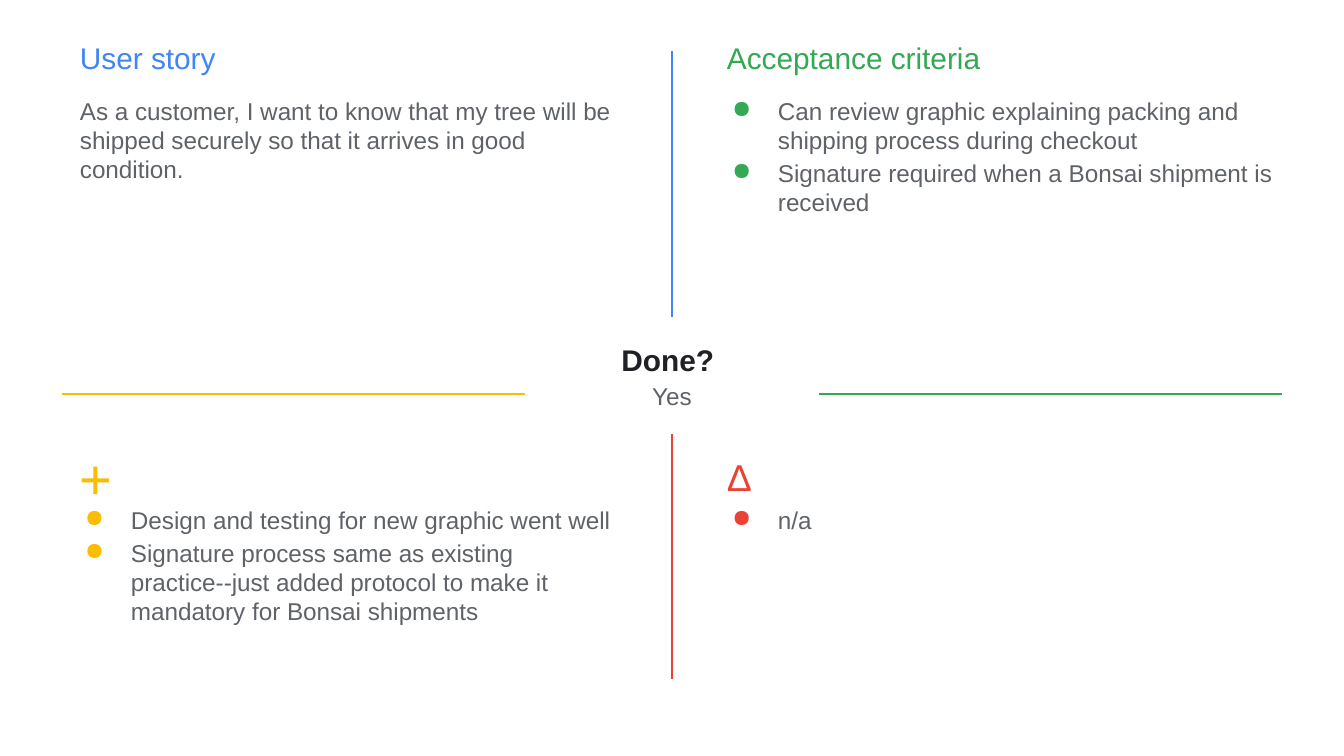
import lxml.etree
import pptx
import pptx.dml.color
import pptx.enum.shapes
import pptx.enum.text
import pptx.oxml.ns
import pptx.util

PX = 914400 / 134.4
COLORS = {
    "blue": "4285F4", "green": "34A853", "yellow": "FBBC04", "red": "EA4335",
    "gray": "5F6368", "black": "202124", "white": "FFFFFF",
}
RGB = {name: pptx.dml.color.RGBColor.from_string(value) for name, value in COLORS.items()}
qn = pptx.oxml.ns.qn


def add_line(color, *ends):
    line = slide.shapes.add_connector(
        pptx.enum.shapes.MSO_CONNECTOR.STRAIGHT, *[round(end * PX) for end in ends])
    line.line.color.rgb = RGB[color]
    line.line.width = pptx.util.Pt(0.75)
    lxml.etree.SubElement(line._element.spPr, qn("a:effectLst"))
    return line


def add_run(paragraph, text, size, color, bold=False):
    run = paragraph.add_run()
    run.text = text
    font_format = {"name": "Arial", "size": pptx.util.Pt(size), "bold": bold}
    for name, value in font_format.items():
        setattr(run.font, name, value)
    run.font.color.rgb = RGB[color]


presentation = pptx.Presentation()
presentation.slide_width = round(1344 * PX)
presentation.slide_height = round(756 * PX)
slide = presentation.slides.add_slide(presentation.slide_layouts[6])

# Dividers, with the status box between them
add_line("yellow", 62, 394, 555, 394)
add_line("green", 789, 394, 1282, 394)
add_line("blue", 672, 51, 672, 317)

status = slide.shapes.add_shape(
    pptx.enum.shapes.MSO_SHAPE.RECTANGLE,
    *[round(length * PX) for length in (525, 336, 294, 98)])
status.shadow.inherit = False
status.fill.solid()
status.fill.fore_color.rgb = RGB["white"]
status.line.fill.background()
status_format = {
    "margin_left": 0, "margin_top": 0, "margin_right": 0, "margin_bottom": 0,
    "word_wrap": True, "vertical_anchor": pptx.enum.text.MSO_ANCHOR.TOP,
}
for name, value in status_format.items():
    setattr(status.text_frame, name, value)
paragraph = status.text_frame.paragraphs[0]
paragraph.alignment = pptx.enum.text.PP_ALIGN.CENTER
paragraph.line_spacing = 1.15
add_run(paragraph, "Done? ", 16, "black", bold=True)
paragraph.add_line_break()
add_run(paragraph, "Yes", 13, "gray")

add_line("red", 672, 434, 672, 679).begin_connect(status, 2)

# Quadrants: a heading above body text in each
COLUMNS = {"left": (67, 563), "right": (714, 612)}
ROWS = {
    "top": {"heading": (27, 54), "body": (83, 212), "anchor": pptx.enum.text.MSO_ANCHOR.TOP},
    "bottom": {"heading": (464, 26), "body": (492, 212),
               "anchor": pptx.enum.text.MSO_ANCHOR.MIDDLE},
}
quadrants = [
    ("left", "top", "User story", 16, "blue", False, [
        "As a customer, I want to know that my tree will be shipped securely "
        "so that it arrives in good condition."]),
    ("right", "top", "Acceptance criteria", 16, "green", True, [
        "Can review graphic explaining packing and shipping process during checkout",
        "Signature required when a Bonsai shipment is received"]),
    ("left", "bottom", "+", 30, "yellow", True, [
        "Design and testing for new graphic went well",
        "Signature process same as existing practice--just added protocol "
        "to make it mandatory for Bonsai shipments"]),
    ("right", "bottom", "Δ", 20, "red", True, ["n/a"]),
]
for column, row, heading, heading_size, color, bulleted, items in quadrants:
    left, width = COLUMNS[column]
    frames = {}
    for part in ("heading", "body"):
        top, height = ROWS[row][part]
        box = slide.shapes.add_textbox(
            *[round(length * PX) for length in (left, top, width, height)])
        frames[part] = box.text_frame
        frames[part].word_wrap = True
        for side in ("left", "top", "right", "bottom"):
            setattr(frames[part], f"margin_{side}", round(13 * PX))

    frames["heading"].vertical_anchor = ROWS[row]["anchor"]
    paragraph = frames["heading"].paragraphs[0]
    paragraph.space_after = pptx.util.Pt(10)
    add_run(paragraph, heading, heading_size, color)

    for index, item in enumerate(items):
        paragraph = frames["body"].add_paragraph() if index else frames["body"].paragraphs[0]
        paragraph.space_before = pptx.util.Pt(2 if index else 0)
        add_run(paragraph, item, 13, "gray")
        if bulleted:
            properties = paragraph._p.get_or_add_pPr()
            properties.set("marL", str(round(51 * PX)))
            properties.set("indent", str(round(-46 * PX)))
            bullet_color = lxml.etree.SubElement(properties, qn("a:buClr"))
            lxml.etree.SubElement(bullet_color, qn("a:srgbClr"), val=COLORS[color])
            lxml.etree.SubElement(properties, qn("a:buChar"), char="●")

presentation.save("out.pptx")
